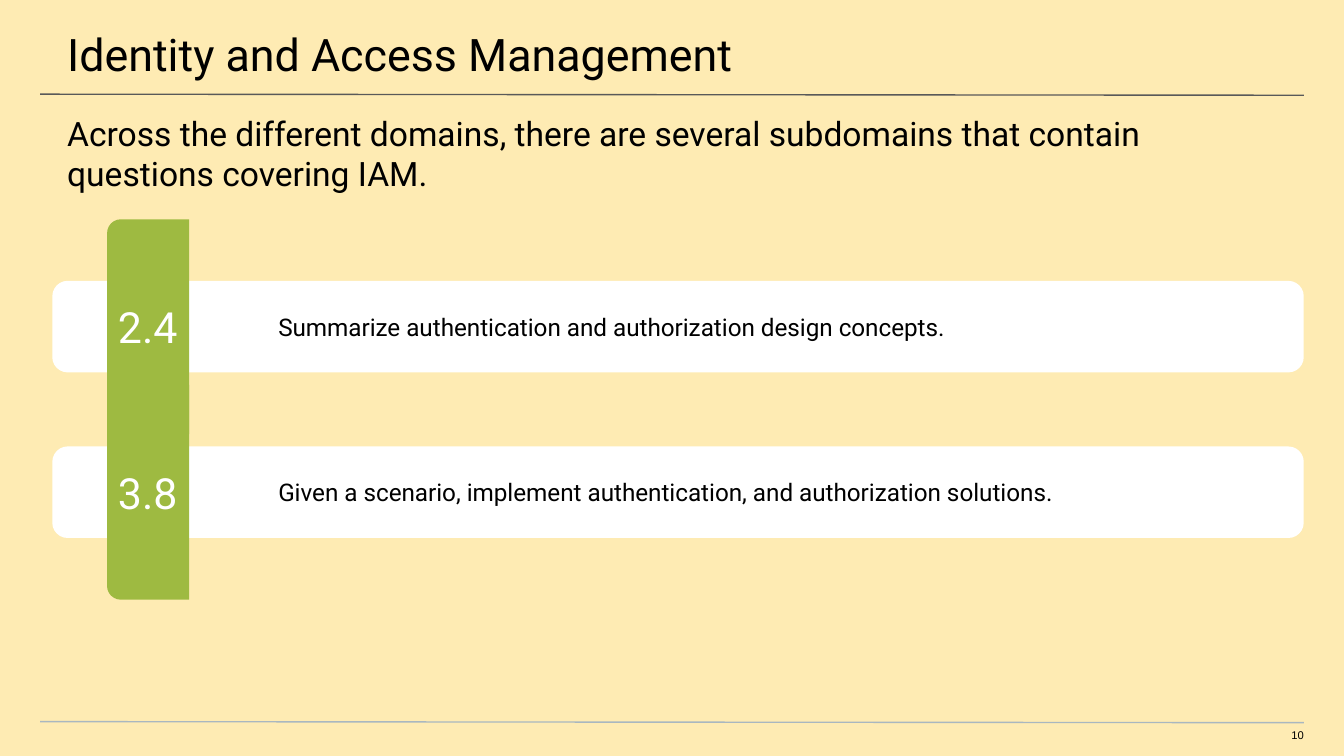
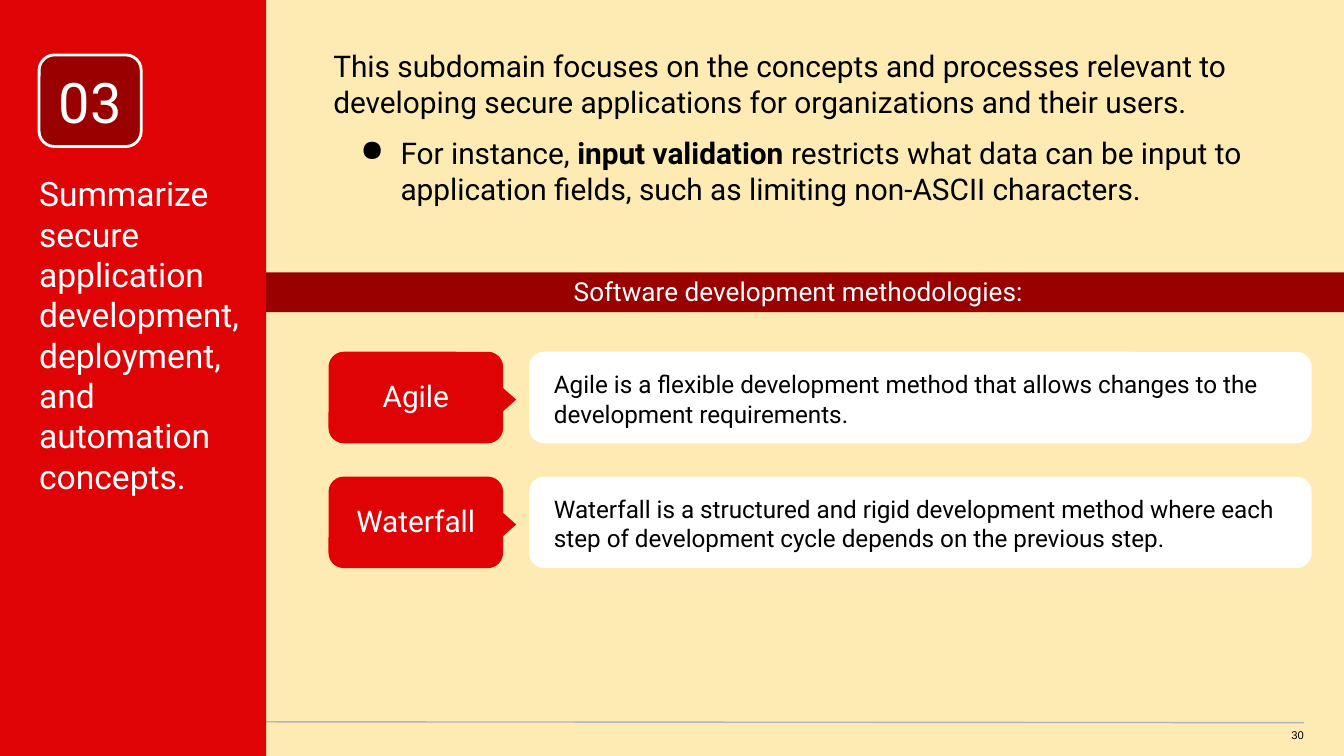
from dataclasses import dataclass

from lxml import etree
from pptx import Presentation
from pptx.dml.color import RGBColor
from pptx.enum.shapes import MSO_CONNECTOR as Connector, MSO_SHAPE as Shape
from pptx.enum.text import MSO_ANCHOR as Anchor, MSO_AUTO_SIZE as AutoSize, PP_ALIGN as Align
from pptx.oxml.ns import qn
from pptx.util import Cm, Pt


@dataclass(frozen=True)
class Theme:
    cream: str = "FEEBB3"
    black: str = "000000"
    white: str = "FFFFFF"
    green: str = "9EBA41"
    red: str = "DF0305"
    dark_red: str = "990000"
    header_rule: str = "595959"
    footer_rule: str = "A9B7C0"
    font: str = "Roboto"
    footer_font: str = "Arial"
    badge: int = 30
    title: int = 24
    number: int = 23
    lead: int = 18
    body: int = 16
    band: int = 14
    detail: int = 13
    footer: int = 6


THEME = Theme()
CORNER = 0.167
SLIDE_WIDTH, SLIDE_HEIGHT = 25.4, 14.29
SIDEBAR_EDGE = 5.03
MARGIN_INSETS = (0.25,) * 4

OBJECTIVES = [
    ("2.4", "Summarize authentication and authorization design concepts."),
    ("3.8", "Given a scenario, implement authentication, and authorization solutions."),
]
METHODS = [
    ("Agile", "Agile is a flexible development method that allows changes to the "
              "development requirements."),
    ("Waterfall", "Waterfall is a structured and rigid development method where each "
                  "step of development cycle depends on the previous step."),
]


def apply(target, values):
    for name, value in values.items():
        setattr(target, name, value)


def set_frame(frame, anchor=Anchor.TOP, insets=(0, 0, 0, 0)):
    """Insets are left, top, right and bottom in centimetres."""
    sides = ("margin_left", "margin_top", "margin_right", "margin_bottom")
    apply(frame, {"word_wrap": True, "auto_size": AutoSize.NONE, "vertical_anchor": anchor})
    apply(frame, {side: Cm(inset) for side, inset in zip(sides, insets)})


def write(para, text, size, color=THEME.black, font=THEME.font, **format_values):
    """Text is a string, or a list of (string, bold) pairs."""
    apply(para, {"alignment": Align.LEFT, **format_values})
    pieces = [(text, False)] if isinstance(text, str) else text
    for words, bold in pieces:
        span = para.add_run()
        span.text = words
        apply(span.font, {"name": font, "size": Pt(size), "bold": bold})
        span.font.color.rgb = RGBColor.from_string(color)


def add_text(slide, place, text, size, color=THEME.black, font=THEME.font,
             anchor=Anchor.TOP, insets=(0, 0, 0, 0), **format_values):
    box = slide.shapes.add_textbox(*map(Cm, place))
    set_frame(box.text_frame, anchor, insets)
    write(box.text_frame.paragraphs[0], text, size, color, font, **format_values)
    return box


def add_block(slide, kind, place, fill, outline=None, corners=(), rotation=0):
    block = slide.shapes.add_shape(kind, *map(Cm, place))
    block.shadow.inherit = False
    block.fill.solid()
    block.fill.fore_color.rgb = RGBColor.from_string(fill)
    if outline:
        block.line.color.rgb = RGBColor.from_string(outline)
        block.line.width = Pt(1.5)
    else:
        block.line.fill.background()
    for index, corner in enumerate(corners):
        block.adjustments[index] = corner
    block.rotation = rotation
    return block


def add_card(slide, place, fill, outline=None):
    return add_block(slide, Shape.ROUNDED_RECTANGLE, place, fill, outline, (CORNER,))


def label(block, text, size, anchor=Anchor.MIDDLE, insets=MARGIN_INSETS, **format_values):
    set_frame(block.text_frame, anchor, insets)
    write(block.text_frame.paragraphs[0], text, size, THEME.white,
          alignment=Align.CENTER, **format_values)


def add_rule(slide, top, color):
    ends = (0.76, top, 24.64, top + 0.02)
    rule = slide.shapes.add_connector(Connector.STRAIGHT, *map(Cm, ends))
    rule.line.color.rgb = RGBColor.from_string(color)
    rule.line.width = Pt(0.75)
    etree.SubElement(rule.element.spPr, qn("a:effectLst"))


def add_bullet(para):
    properties = para._p.get_or_add_pPr()
    apply_values = {"marL": Cm(1.27), "indent": Cm(-0.76)}
    for name, value in apply_values.items():
        properties.set(name, str(int(value)))
    color = etree.SubElement(properties, qn("a:buClr"))
    etree.SubElement(color, qn("a:srgbClr"), val=THEME.black)
    etree.SubElement(properties, qn("a:buChar"), char="●")


def add_page(deck, layout_name, number):
    page = deck.slides.add_slide(deck.slide_layouts.get_by_name(layout_name))
    add_rule(page, 13.64, THEME.footer_rule)
    add_text(page, (23.9, 13.77, 0.74, 0.3), str(number), THEME.footer,
             font=THEME.footer_font, insets=(0, 0, 0, 0.25), alignment=Align.RIGHT)
    return page


def set_title(page, text):
    title = page.shapes.title
    apply(title, {"left": Cm(0), "top": Cm(0), "width": Cm(SLIDE_WIDTH), "height": Cm(1.47)})
    set_frame(title.text_frame, insets=(1.27, 0.51, 0.76, 0.25))
    write(title.text_frame.paragraphs[0], text, THEME.title)
    add_rule(page, 1.78, THEME.header_rule)


def add_objective(page, top, number, text):
    """A white bar crossed by an upright green tab that holds the number."""
    height, tab_length, tab_width, tab_center = 1.73, 4.06, 1.55, 2.8
    middle = top + height / 2
    add_card(page, (0.99, top, 23.65, height), THEME.white)
    add_block(page, Shape.ROUND_2_SAME_RECTANGLE,
              (tab_center - tab_length / 2, middle - tab_width / 2, tab_length, tab_width),
              THEME.green, corners=(CORNER, 0), rotation=270)
    add_text(page, (0.99, top + 0.38, 3.61, 1.02), number, THEME.number, THEME.white,
             alignment=Align.CENTER)
    add_text(page, (5.26, top, 19.2, height), text, THEME.detail, anchor=Anchor.MIDDLE)


def add_method(page, top, name, text):
    """A red name with a pointer to a white card that explains it."""
    height = 1.73
    add_card(page, (10, top, 14.79, height), THEME.white)
    name_card = add_card(page, (6.21, top, 3.3, height), THEME.red)
    label(name_card, name, THEME.body, line_spacing=0.9)
    add_block(page, Shape.FLOWCHART_EXTRACT, (9.02, top + 0.64, 0.94, 0.53),
              THEME.red, rotation=90)
    add_text(page, (10.47, top + 0.05, 14, 1.68), text, THEME.detail, anchor=Anchor.MIDDLE)


def add_sidebar(page, number, text):
    add_block(page, Shape.RECTANGLE, (0, 0, SIDEBAR_EDGE, SLIDE_HEIGHT), THEME.red)
    badge = add_card(page, (0.74, 1.04, 1.93, 1.73), THEME.dark_red, THEME.white)
    label(badge, number, THEME.badge)
    add_text(page, (0.74, 3.53, 4.09, 5.59), text, THEME.lead, THEME.white,
             anchor=Anchor.MIDDLE)


def build_access_page(deck):
    page = add_page(deck, "Title Only", 10)
    set_title(page, "Identity and Access Management")
    add_text(page, (0, 1.88, SLIDE_WIDTH, 1.02),
             "Across the different domains, there are several subdomains that contain "
             "questions covering IAM.", THEME.lead, insets=(1.27, 0.25, 1.27, 0))
    for row, objective in enumerate(OBJECTIVES):
        add_objective(page, 5.31 + 3.13 * row, *objective)


def build_development_page(deck):
    page = add_page(deck, "Blank", 30)
    add_sidebar(page, "03", "Summarize secure application development, deployment, "
                            "and automation concepts.")
    content_width = SLIDE_WIDTH - SIDEBAR_EDGE
    intro = add_text(page, (SIDEBAR_EDGE, 0.66, content_width, 2.59),
                     "This subdomain focuses on the concepts and processes relevant to "
                     "developing secure applications for organizations and their users.",
                     THEME.body, insets=(1.27, 0.25, 0.76, 0.25))
    example = intro.text_frame.add_paragraph()
    add_bullet(example)
    write(example, [("For instance, ", False), ("input validation", True),
                    (" restricts what data can be input to application fields, such as "
                     "limiting non-ASCII characters.", False)],
          THEME.body, space_before=Pt(8))
    for row, method in enumerate(METHODS):
        add_method(page, 6.65 + 2.36 * row, *method)
    band = add_block(page, Shape.RECTANGLE, (SIDEBAR_EDGE, 5.15, content_width, 0.75),
                     THEME.dark_red)
    label(band, "Software development methodologies:", THEME.band, Anchor.TOP,
          (0, 0.05, 0.25, 0.25), space_after=Pt(8))


def main():
    deck = Presentation()
    apply(deck, {"slide_width": Cm(SLIDE_WIDTH), "slide_height": Cm(SLIDE_HEIGHT)})
    background = deck.slide_master.background.fill
    background.solid()
    background.fore_color.rgb = RGBColor.from_string(THEME.cream)
    build_access_page(deck)
    build_development_page(deck)
    deck.save("out.pptx")


if __name__ == "__main__":
    main()
